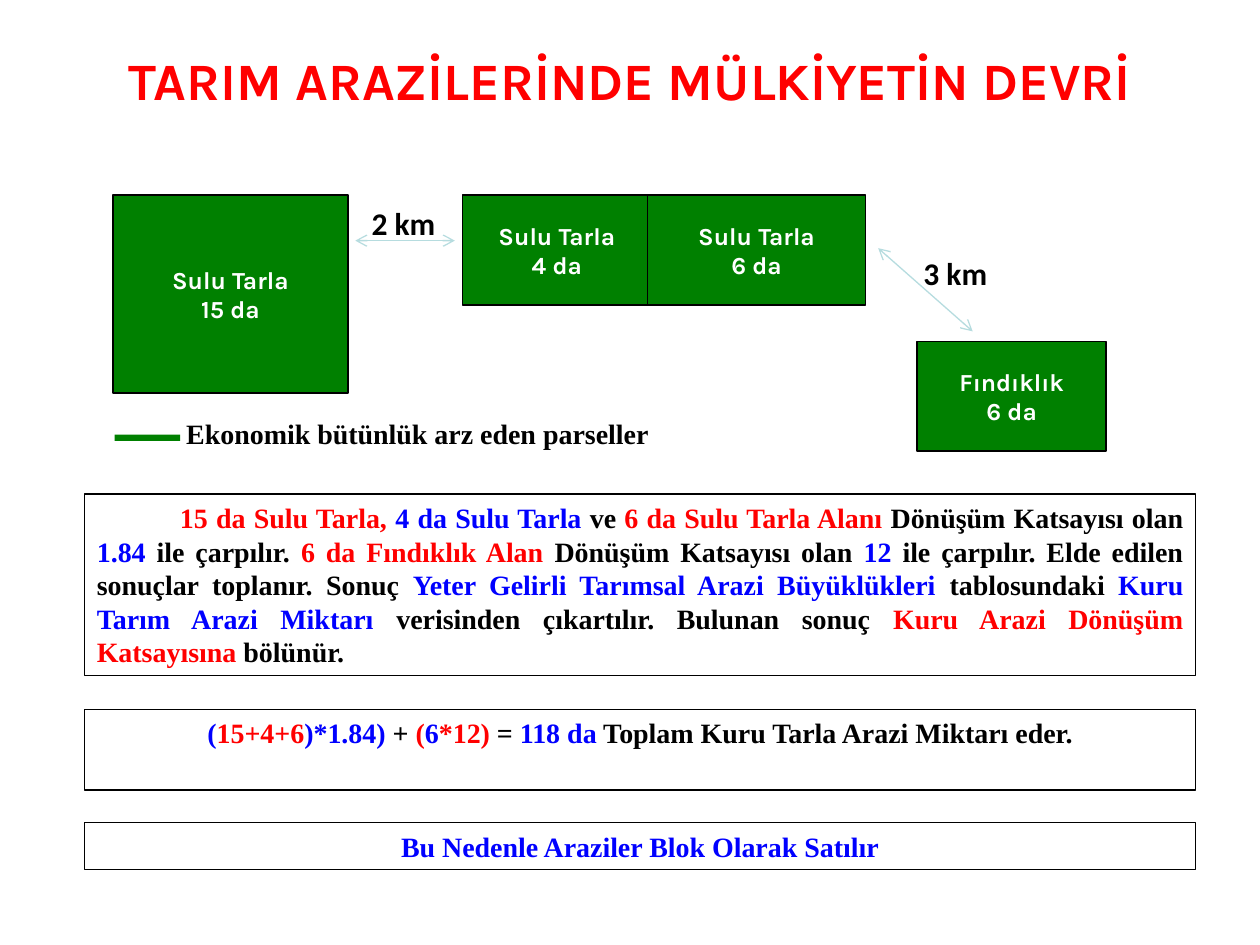
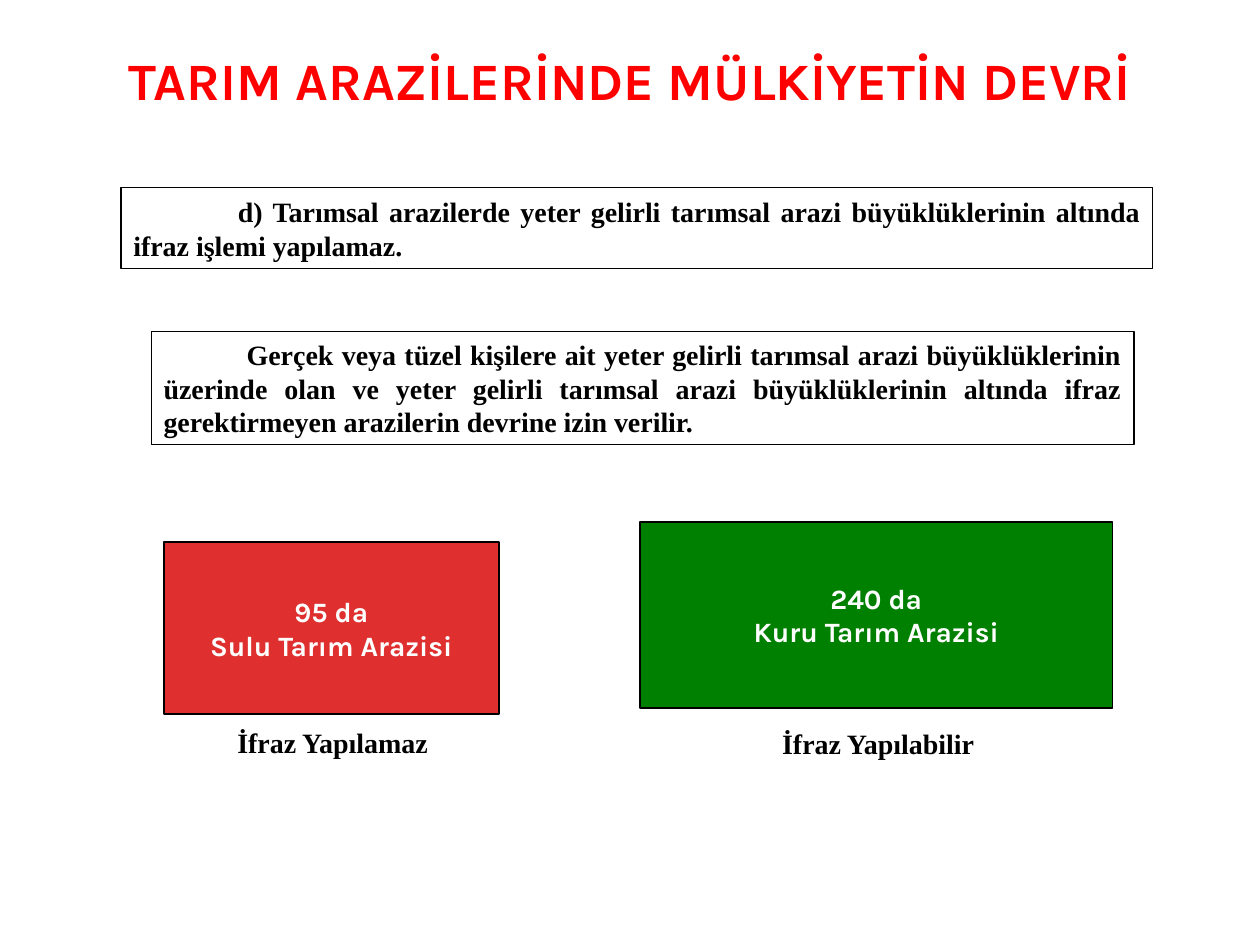
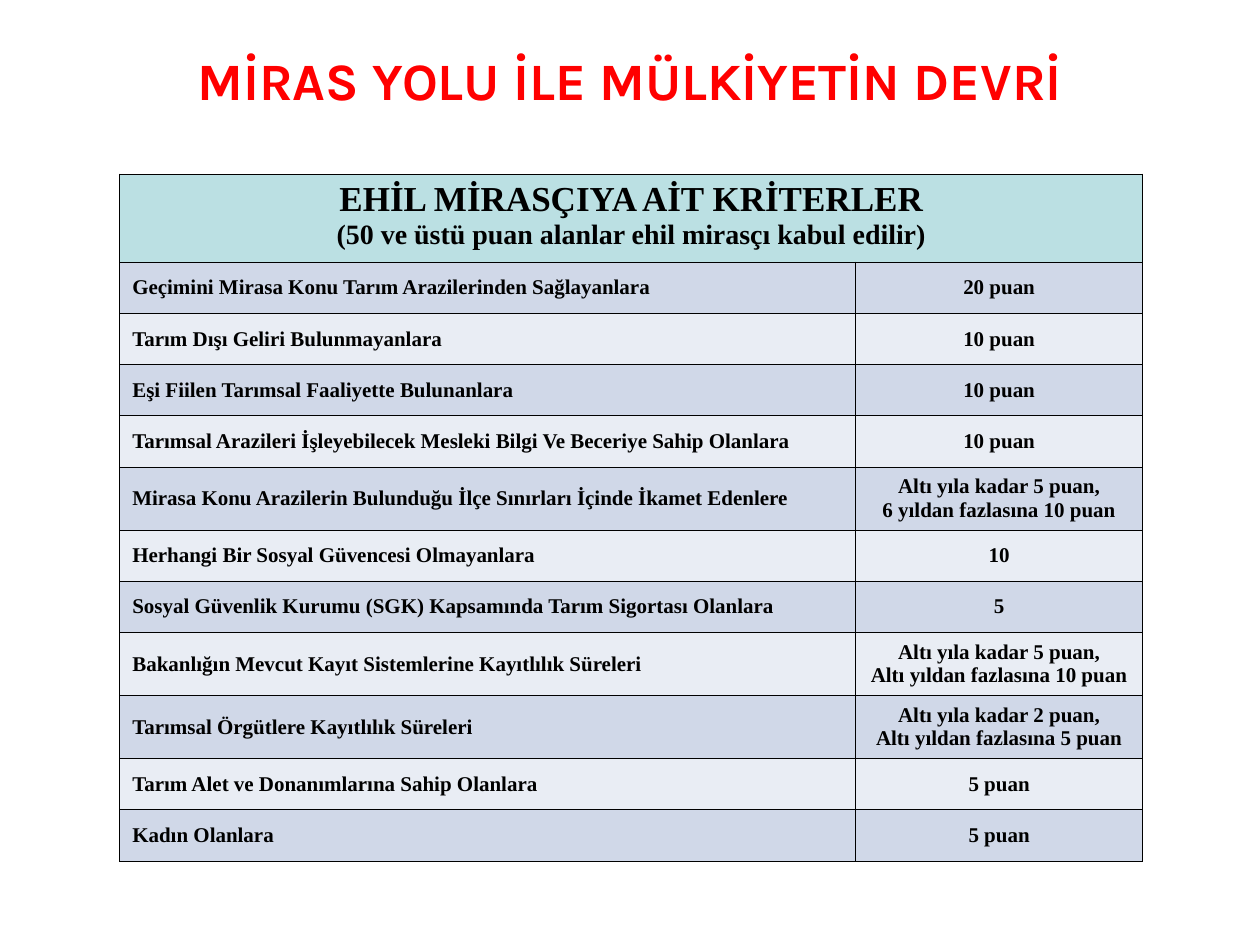
"""Build three slides on the transfer and inheritance of farm land."""
import pptx
import pptx.dml.color
import pptx.enum.shapes
import pptx.enum.text
import pptx.oxml.ns
import pptx.util
from lxml import etree

COLORS = {
    "black": "000000", "white": "FFFFFF", "red": "FF0000", "blue": "0000FF",
    "green": "008000", "brick": "DF2F2F", "arrow": "B6DCDF",
    "header": "BBE0E3", "band": "D0D8E8", "light band": "E9EDF4",
}
SERIF, SANS, LABEL = "Times New Roman", "Karla", "Calibri"
ALIGN = pptx.enum.text.PP_ALIGN
ANCHOR = pptx.enum.text.MSO_ANCHOR
RECTANGLE = pptx.enum.shapes.MSO_SHAPE.RECTANGLE
RGB = {name: pptx.dml.color.RGBColor.from_string(value) for name, value in COLORS.items()}

deck = pptx.Presentation()
deck.slide_width = pptx.util.Inches(10)
deck.slide_height = pptx.util.Inches(7.5)
CELL = deck.slide_width // 100


def write(frame, paragraphs, font=SERIF, size=16, color="black", align=ALIGN.CENTER, indent=0):
    """Write paragraphs, each a string or a list of (text, colour) pairs."""
    for index, content in enumerate(paragraphs):
        para = frame.add_paragraph() if index else frame.paragraphs[0]
        para.alignment = align
        if indent:
            para._p.get_or_add_pPr().set("indent", str(int(indent * CELL)))
        parts = [(content, color)] if isinstance(content, str) else content
        for text, part_color in parts:
            span = para.add_run()
            span.text = text
            span.font.name = font
            span.font.size = pptx.util.Pt(size)
            span.font.bold = True
            span.font.color.rgb = RGB[part_color]


def add_box(page, area, paragraphs, fill=None, line=None, anchor=ANCHOR.MIDDLE, **style):
    """Add a box whose area is left, top, width and height in grid cells."""
    place = [int(length * CELL) for length in area]
    if fill or line:
        box = page.shapes.add_shape(RECTANGLE, *place)
        box.shadow.inherit = False
    else:
        box = page.shapes.add_textbox(*place)
    if fill:
        box.fill.solid()
        box.fill.fore_color.rgb = RGB[fill]
    else:
        box.fill.background()
    if line:
        box.line.color.rgb = RGB[line]
        box.line.width = pptx.util.Pt(1 if fill else 0.75)
    else:
        box.line.fill.background()
    box.text_frame.word_wrap = True
    box.text_frame.vertical_anchor = anchor
    write(box.text_frame, paragraphs, **style)


pages = []
for heading in ["TARIM ARAZİLERİNDE MÜLKİYETİN DEVRİ"] * 2 + ["MİRAS YOLU İLE MÜLKİYETİN DEVRİ"]:
    page = deck.slides.add_slide(deck.slide_layouts[5])
    title = page.shapes.title
    title.left, title.top = 0, int(3.6 * CELL)
    title.width, title.height = deck.slide_width, int(5.5 * CELL)
    title.text_frame.auto_size = pptx.enum.text.MSO_AUTO_SIZE.NONE
    title.text_frame.vertical_anchor = ANCHOR.MIDDLE
    write(title.text_frame, [heading], font=SANS, size=30, color="red")
    pages.append(page)
parcel_page, division_page, heir_page = pages

parcels = [
    ((9, 15.5, 18.6, 15.7), "Sulu Tarla", "15 da"),
    ((36.7, 15.5, 15, 8.7), "Sulu Tarla", "4 da"),
    ((51.4, 15.5, 17.3, 8.7), "Sulu Tarla", "6 da"),
    ((72.8, 27.1, 15, 8.7), "Fındıklık", "6 da"),
]
for area, crop, size_label in parcels:
    add_box(parcel_page, area, [crop, size_label], fill="green", line="black",
            font=SANS, size=14, color="white")

add_box(parcel_page, (9.1, 34.5, 5.2, 0.5), [], fill="green")
add_box(parcel_page, (13.8, 32.6, 39.3, 3.7), ["Ekonomik bütünlük arz eden parseller"],
        anchor=ANCHOR.TOP, align=ALIGN.LEFT)

distances = [
    ((28.2, 19.1, 36.1, 19.1), (28.5, 15.7, 7.9, 4), "2 km"),
    ((69.7, 19.7, 77.2, 26.3), (72.3, 19.7, 7.9, 4), "3 km"),
]
for ends, label_area, distance in distances:
    arrow = parcel_page.shapes.add_connector(
        pptx.enum.shapes.MSO_CONNECTOR.STRAIGHT, *[int(end * CELL) for end in ends])
    arrow.line.color.rgb = RGB["arrow"]
    arrow.line.width = pptx.util.Pt(0.75)
    for tip in ("a:headEnd", "a:tailEnd"):
        etree.SubElement(arrow.line._get_or_add_ln(), pptx.oxml.ns.qn(tip), type="arrow")
    etree.SubElement(arrow._element.spPr, pptx.oxml.ns.qn("a:effectLst"))
    add_box(parcel_page, label_area, [distance], anchor=ANCHOR.TOP,
            font=LABEL, size=18, align=ALIGN.LEFT)

explanation = [
    ("15 da Sulu Tarla, ", "red"), ("4 da Sulu Tarla ", "blue"), ("ve ", "black"),
    ("6 da Sulu Tarla Alanı", "red"), (" Dönüşüm Katsayısı olan ", "black"),
    ("1.84", "blue"), (" ile çarpılır. ", "black"), ("6 da Fındıklık Alan", "red"),
    (" Dönüşüm Katsayısı olan ", "black"), ("12", "blue"),
    (" ile çarpılır. Elde edilen sonuçlar toplanır. Sonuç ", "black"),
    ("Yeter Gelirli Tarımsal Arazi Büyüklükleri ", "blue"), ("tablosundaki", "black"),
    (" Kuru Tarım Arazi Miktarı ", "blue"),
    ("verisinden çıkartılır. Bulunan sonuç ", "black"),
    ("Kuru Arazi Dönüşüm Katsayısına", "red"), (" bölünür.", "black"),
]
formula = [
    ("(", "blue"), ("15+4+6", "red"), (")*1.84)", "blue"), (" + ", "black"), ("(", "red"),
    ("6", "blue"), ("*12)", "red"), (" = ", "black"), ("118 da", "blue"),
    (" Toplam Kuru Tarla Arazi Miktarı eder.", "black"),
]
add_box(parcel_page, (6.7, 39.2, 88.2, 14.4), [explanation], line="black",
        align=ALIGN.JUSTIFY, indent=6.6)
add_box(parcel_page, (6.7, 56.3, 88.2, 6.4), [formula], line="black", anchor=ANCHOR.TOP)
add_box(parcel_page, (6.7, 65.3, 88.2, 3.7), ["Bu Nedenle Araziler Blok Olarak Satılır"],
        line="black", color="blue")

rules = [
    ((9.6, 14.9, 81.9, 6.4), 8.3,
     "d) Tarımsal arazilerde yeter gelirli tarımsal arazi büyüklüklerinin altında ifraz "
     "işlemi yapılamaz."),
    ((12, 26.3, 78, 9), 6.6,
     "Gerçek veya tüzel kişilere ait yeter gelirli tarımsal arazi büyüklüklerinin üzerinde "
     "olan ve yeter gelirli tarımsal arazi büyüklüklerinin altında ifraz gerektirmeyen "
     "arazilerin devrine izin verilir."),
]
for area, indent, rule in rules:
    add_box(division_page, area, [rule], line="black", align=ALIGN.JUSTIFY, indent=indent)

examples = [
    ((13, 43, 26.6, 13.7), "brick", ["95 da", "Sulu Tarım Arazisi"],
     (13.1, 57.1, 26.6, 3.7), "İfraz Yapılamaz"),
    ((50.8, 41.4, 37.5, 14.8), "green", ["240 da", "Kuru Tarım Arazisi"],
     (50.8, 57.2, 37.8, 3.7), "İfraz Yapılabilir"),
]
for area, fill, land, verdict_area, verdict in examples:
    add_box(division_page, area, land, fill=fill, line="black", font=SANS, color="white")
    add_box(division_page, verdict_area, [verdict], anchor=ANCHOR.TOP)

criteria = [
    ("Geçimini Mirasa Konu Tarım Arazilerinden Sağlayanlara", ["20 puan"]),
    ("Tarım Dışı Geliri Bulunmayanlara", ["10 puan"]),
    ("Eşi Fiilen Tarımsal Faaliyette Bulunanlara", ["10 puan"]),
    ("Tarımsal Arazileri İşleyebilecek Mesleki Bilgi Ve Beceriye Sahip Olanlara", ["10 puan"]),
    ("Mirasa Konu Arazilerin Bulunduğu İlçe Sınırları İçinde İkamet Edenlere",
     ["Altı yıla kadar 5 puan,", "6 yıldan fazlasına 10 puan"]),
    ("Herhangi Bir Sosyal Güvencesi Olmayanlara", ["10"]),
    ("Sosyal Güvenlik Kurumu (SGK) Kapsamında Tarım Sigortası Olanlara", ["5"]),
    ("Bakanlığın Mevcut Kayıt Sistemlerine Kayıtlılık Süreleri",
     ["Altı yıla kadar 5 puan,", "Altı yıldan fazlasına 10 puan"]),
    ("Tarımsal Örgütlere Kayıtlılık Süreleri",
     ["Altı yıla kadar 2 puan,", "Altı yıldan fazlasına 5 puan"]),
    ("Tarım Alet ve Donanımlarına Sahip Olanlara", ["5 puan"]),
    ("Kadın Olanlara", ["5 puan"]),
]
table = heir_page.shapes.add_table(
    len(criteria) + 1, 2, *[int(length * CELL) for length in (9.5, 13.8, 81.2, 54.6)]).table
table.first_row = table.horz_banding = False
table.columns[0].width = int(58.4 * CELL)
table.columns[1].width = int(22.8 * CELL)
table.rows[0].height = 7 * CELL
table.cell(0, 0).merge(table.cell(0, 1))
header_frame = table.cell(0, 0).text_frame
write(header_frame, ["EHİL MİRASÇIYA AİT KRİTERLER",
                     "(50 ve üstü puan alanlar ehil mirasçı kabul edilir)"])
header_frame.paragraphs[0].runs[0].font.size = pptx.util.Pt(20)

for number, (criterion, points) in enumerate(criteria, start=1):
    table.rows[number].height = int((5 if len(points) > 1 else 4.07) * CELL)
    write(table.cell(number, 0).text_frame, [criterion], size=12, align=ALIGN.LEFT)
    write(table.cell(number, 1).text_frame, points, size=12)

for number, row in enumerate(table.rows):
    fill = "header" if number == 0 else "band" if number % 2 else "light band"
    for cell in row.cells:
        cell.vertical_anchor = ANCHOR.MIDDLE if number else ANCHOR.TOP
        for side in ("a:lnL", "a:lnR", "a:lnT", "a:lnB"):
            border = etree.SubElement(cell._tc.get_or_add_tcPr(), pptx.oxml.ns.qn(side),
                                      w=str(pptx.util.Pt(0.45)))
            paint = etree.SubElement(border, pptx.oxml.ns.qn("a:solidFill"))
            etree.SubElement(paint, pptx.oxml.ns.qn("a:srgbClr"), val=COLORS["black"])
        cell.fill.solid()
        cell.fill.fore_color.rgb = RGB[fill]

deck.save("out.pptx")
